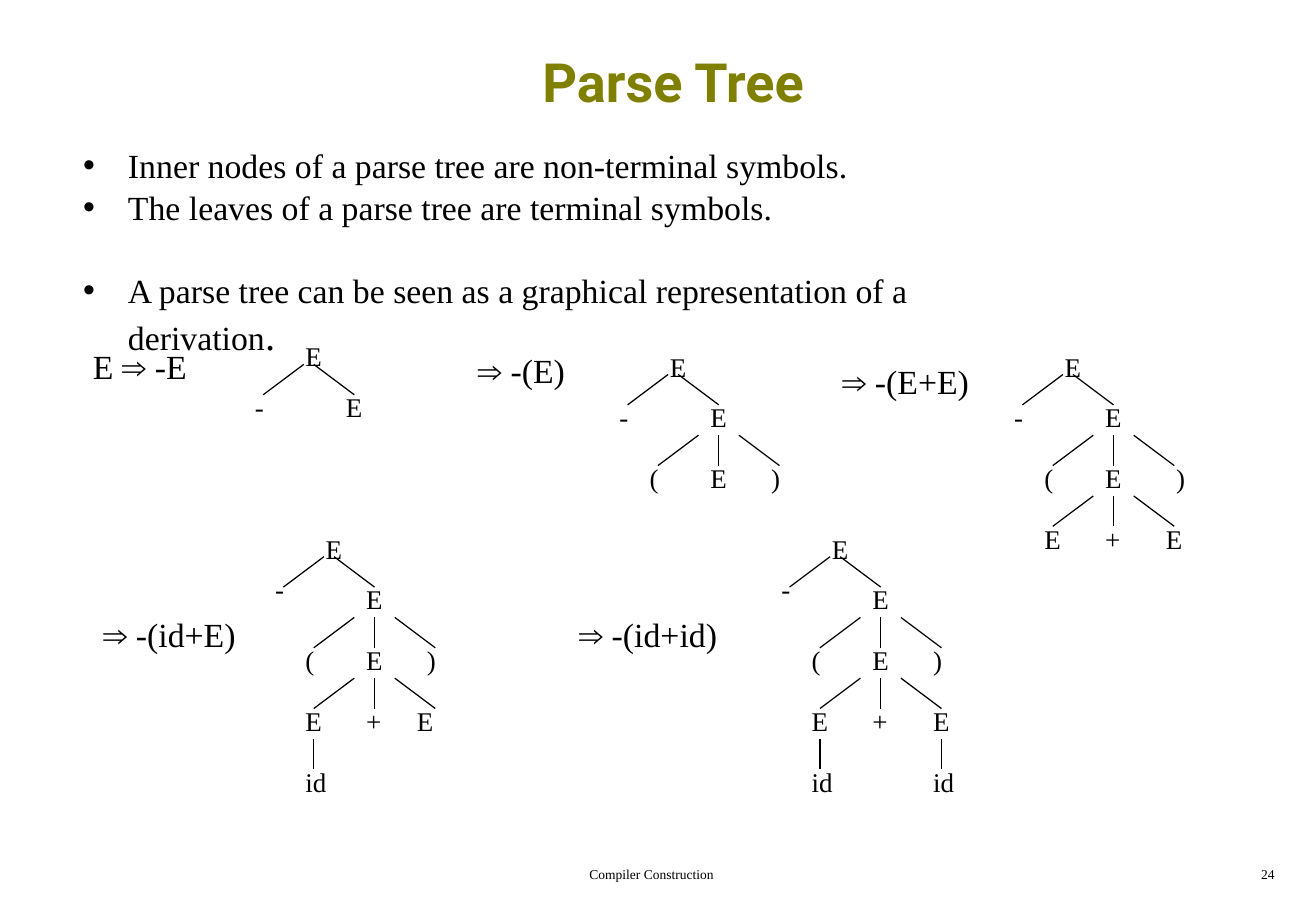
from lxml import etree
from pptx import Presentation, util as u
from pptx.dml.color import RGBColor
from pptx.enum import shapes, text
from pptx.oxml import ns

BLACK = RGBColor(0x00, 0x00, 0x00)
OLIVE = RGBColor(0x80, 0x80, 0x00)
COLUMNS, ROWS = 130, 90
CELL = u.Inches(1) / 12
LABEL_WIDTHS = {"E": 4.1, "+": 4, "id": 4.6}
PARENTHESES = {-2: "(", 4: "E", 10: ")"}
SUM = {-2: "E", 4: "+", 10: "E"}


def cells(*counts):
    return [u.Emu(round(count * CELL)) for count in counts]


def write(para, content, size=20, color=BLACK, font="Times New Roman",
          bold=False, align=text.PP_ALIGN.LEFT):
    para.alignment = align
    span = para.add_run()
    span.text = content
    span.font.size = u.Pt(size)
    span.font.name = font
    span.font.bold = bold
    span.font.color.rgb = color


class TreeSlide:
    def __init__(self, deck):
        self.page = deck.slides.add_slide(deck.slide_layouts[1])

    def place(self, box, column, row, width, height):
        box.left, box.top, box.width, box.height = cells(column, row, width, height)

    def title(self, content):
        box = self.page.shapes.title
        self.place(box, 5, 2, 123, 12)
        box.text_frame.vertical_anchor = text.MSO_ANCHOR.MIDDLE
        write(box.text_frame.paragraphs[0], content, size=32, color=OLIVE,
              font="Roboto", bold=True, align=text.PP_ALIGN.CENTER)

    def bullets(self, items):
        box = self.page.placeholders[1]
        self.place(box, 7, 13.7, 97.5, 18)
        frame = box.text_frame
        frame.auto_size = text.MSO_AUTO_SIZE.NONE
        frame.vertical_anchor = text.MSO_ANCHOR.TOP
        for index, (content, gap) in enumerate(items):
            para = frame.paragraphs[0] if index == 0 else frame.add_paragraph()
            para.space_before = u.Pt(gap)
            write(para, content)
            properties = para._p.get_or_add_pPr()
            properties.set("marL", str(u.Inches(0.37)))
            properties.set("indent", str(-u.Inches(0.37)))
            mark = etree.SubElement(properties, ns.qn("a:buChar"))
            mark.set("char", "•")
        write(para, ".", size=24)

    def label(self, content, column, row, width, height=5.2, parent=None, **style):
        owner = parent or self.page
        box = owner.shapes.add_textbox(*cells(column, row, width, height))
        box.text_frame.word_wrap = False
        write(box.text_frame.paragraphs[0], content, **style)

    def branch(self, group, start, end):
        line = group.shapes.add_connector(shapes.MSO_CONNECTOR.STRAIGHT,
                                          *cells(*start, *end))
        line.line.color.rgb = BLACK
        line.line.width = u.Pt(0.75)
        etree.SubElement(line._element.spPr, ns.qn("a:effectLst"))

    def tree(self, column, row, levels=(), ids=(), minus_row=5):
        group = self.page.shapes.add_group_shape()

        def node(content, x, y):
            self.label(content, column + x, row + y, LABEL_WIDTHS.get(content, 3.4),
                       4.4, parent=group, size=16)

        def edge(start_x, end_x, y):
            self.branch(group, (column + start_x, row + y), (column + end_x, row + y + 3))

        node("E", 0, 0)
        node("-", -5, minus_row)
        node("E", 4, 5)
        edge(1, -3, 3)
        edge(2, 6, 3)
        for depth, level in enumerate(levels, 1):
            for start_x, end_x in ((4, 0), (6, 6), (8, 12)):
                edge(start_x, end_x, 3 + 6 * depth)
            for x, content in level.items():
                node(content, x, 5 + 6 * depth)
        for x in ids:
            edge(x + 2, x + 2, 21)
            node("id", x, 23)


def main():
    deck = Presentation()
    deck.slide_width, deck.slide_height = cells(COLUMNS, ROWS)
    slide = TreeSlide(deck)
    slide.title("Parse Tree")
    slide.bullets([
        ("Inner nodes of a parse tree are non-terminal symbols.", 1),
        ("The leaves of a parse tree are terminal symbols.", 1),
        ("A parse tree can be seen as a graphical representation of a derivation", 25),
    ])
    for content, column, row, width in (
        ("E ⇒ -E", 8, 33.6, 13.4),
        ("⇒ -(E)", 46, 34, 11.9),
        ("⇒ -(E+E)", 82, 35, 15.8),
        ("⇒ -(id+E)", 9, 60, 16.3),
        ("⇒ -(id+id)", 56, 60, 16.9),
    ):
        slide.label(content, column, row, width)
    slide.tree(29, 33)
    slide.tree(65, 34, [PARENTHESES])
    slide.tree(104, 34, [{-2: "(", 4: "E", 11: ")"}, SUM])
    slide.tree(31, 52, [PARENTHESES, {-2: "E", 4: "+", 9: "E"}], ids=[-2], minus_row=4)
    slide.tree(81, 52, [PARENTHESES, SUM], ids=[-2, 10], minus_row=4)
    slide.label("Compiler Construction", 40, 85, 48.75, 3, size=8,
                align=text.PP_ALIGN.CENTER)
    slide.label("24", 100, 85, 27.1, 3, size=8, align=text.PP_ALIGN.RIGHT)
    deck.save("out.pptx")


if __name__ == "__main__":
    main()
